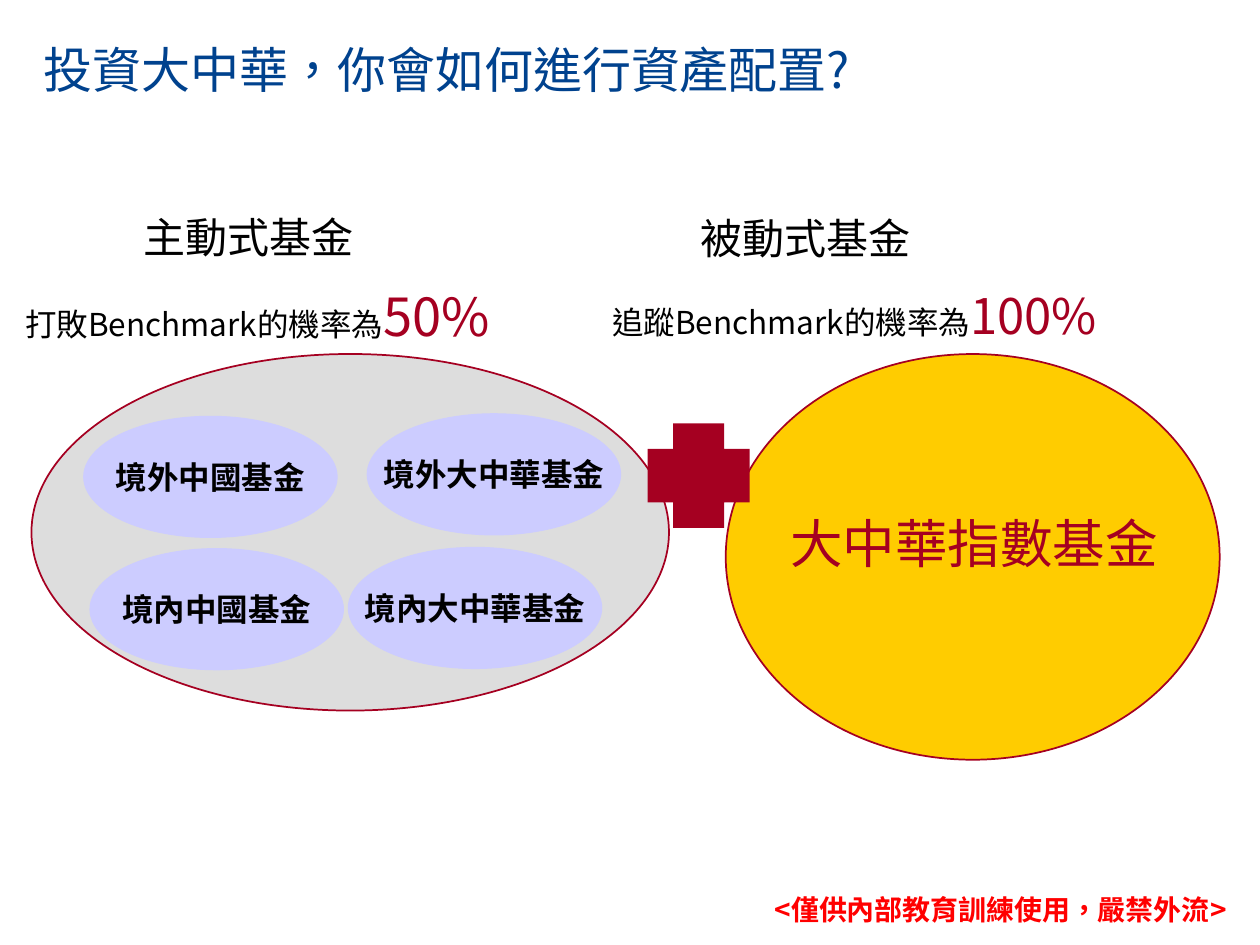
"""Build a slide that sets active funds beside a passive index fund."""
from dataclasses import dataclass

from lxml import etree
from pptx import Presentation
from pptx.dml.color import RGBColor
from pptx.enum.shapes import MSO_SHAPE
from pptx.enum.text import MSO_ANCHOR, MSO_AUTO_SIZE, PP_ALIGN
from pptx.oxml.ns import qn
from pptx.util import Inches, Pt

OVAL, CROSS = MSO_SHAPE.OVAL, MSO_SHAPE.CROSS
TOP, MID = MSO_ANCHOR.TOP, MSO_ANCHOR.MIDDLE
LEFT, CENTER = PP_ALIGN.LEFT, PP_ALIGN.CENTER
GROW = MSO_AUTO_SIZE.SHAPE_TO_FIT_TEXT


@dataclass(frozen=True)
class Theme:
    """Hold the font, language, colours and type sizes."""
    font: str = "Noto Sans CJK SC"
    lang: str = "zh-TW"
    blue: str = "00428E"
    black: str = "000000"
    wine: str = "A50021"
    red: str = "FF0000"
    gray: str = "DDDDDD"
    lilac: str = "CCCCFF"
    gold: str = "FFCC00"
    note: int = 16
    body: int = 18
    head: int = 24
    title: int = 28
    big: int = 30


T = Theme()

SHAPES = [
    (OVAL, (0.25, 2.81, 5.06, 2.83), T.gray, T.wine),
    (OVAL, (5.76, 2.81, 3.92, 3.22), T.gold, T.wine),
    (CROSS, (5.14, 3.36, 0.81, 0.83), T.wine, None),
]
FUND_SIZE = (2.02, 0.97)
FUNDS = [
    ("境外大中華基金", (2.91, 3.28)),
    ("境內中國基金", (0.71, 4.35)),
    ("境外中國基金", (0.66, 3.3)),
    ("境內大中華基金", (2.76, 4.34)),
]
TITLE = ("投資大中華，你會如何進行資產配置?", T.title, T.blue)
NOTE = ("<僅供內部教育訓練使用，嚴禁外流>", T.note, T.red)
INDEX = ("大中華指數基金", T.big, T.wine)
HEADS = [
    ("主動式基金", (1.04, 1.63, 3.43, 0.5)),
    ("被動式基金", (5.46, 1.64, 3.43, 0.5)),
]
ODDS = [
    ("打敗Benchmark的機率為", "50%", T.big, (0.1, 2.3, 5.02, 0.5), 0.8),
    ("追蹤Benchmark的機率為", "100%", T.title, (4.76, 2.22, 5.24, 0.57), 1.0),
]


def style(run, size, color, bold=False):
    """Format one run, East Asian font and language included."""
    font = run.font
    font.name, font.size, font.bold = T.font, Pt(size), bold
    font.color.rgb = RGBColor.from_string(color)
    props = run._r.rPr
    props.set("lang", T.lang)
    east = etree.Element(qn("a:ea"), typeface=T.font)
    props.find(qn("a:latin")).addnext(east)


def write(shape, parts, anchor=TOP, wrap=True, align=LEFT, bold=False):
    """Fill a shape with one paragraph of styled parts."""
    frame = shape.text_frame
    frame.word_wrap, frame.vertical_anchor = wrap, anchor
    para = frame.paragraphs[0]
    para.alignment = align
    for text, size, color in parts:
        run = para.add_run()
        run.text = text
        style(run, size, color, bold)
    return para


def label(slide, box, parts, **opts):
    """Add a text box and return its paragraph."""
    area = slide.shapes.add_textbox(*map(Inches, box))
    para = write(area, parts, **opts)
    area.text_frame.auto_size = GROW
    return para


def draw(slide, kind, box, fill, line=None):
    """Add a flat preset shape."""
    shape = slide.shapes.add_shape(kind, *map(Inches, box))
    shape.shadow.inherit = False
    shape.fill.solid()
    shape.fill.fore_color.rgb = RGBColor.from_string(fill)
    if line:
        shape.line.color.rgb = RGBColor.from_string(line)
        shape.line.width = Pt(1)
    else:
        shape.line.fill.background()
    return shape


def main():
    """Build and save the slide."""
    deck = Presentation()
    deck.slide_width, deck.slide_height = Inches(10), Inches(7.5)
    slide = deck.slides.add_slide(deck.slide_layouts[6])
    label(slide, (6.05, 7.03, 3.9, 0.37), [NOTE],
          anchor=MID, wrap=False, bold=True)
    label(slide, (0.25, 0.17, 7.35, 0.75), [TITLE], anchor=MID)
    for item in SHAPES:
        draw(slide, *item)
    for name, spot in FUNDS:
        oval = draw(slide, OVAL, spot + FUND_SIZE, T.lilac)
        write(oval, [(name, T.body, T.black)],
              anchor=MID, wrap=False, align=CENTER, bold=True)
        frame = oval.text_frame
        frame.margin_left = frame.margin_right = 0
    for text, box in HEADS:
        label(slide, box, [(text, T.head, T.black)])
    for text, rate, size, box, space in ODDS:
        parts = [(text, T.body, T.black), (rate, size, T.wine)]
        label(slide, box, parts).line_spacing = space
    label(slide, (6.17, 4.01, 3.12, 0.6), [INDEX], wrap=False, align=CENTER)
    deck.save("out.pptx")


if __name__ == "__main__":
    main()
